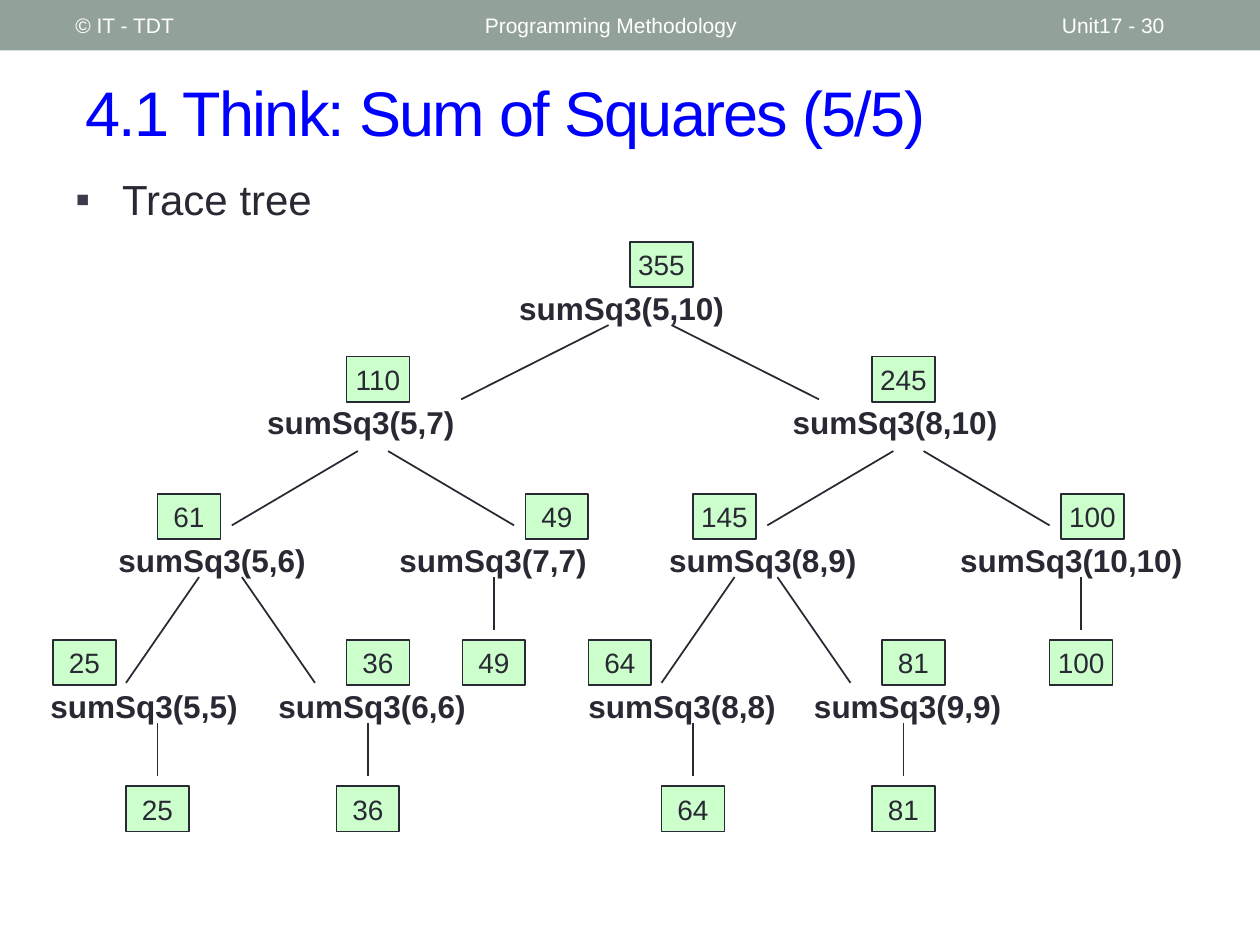
from lxml.etree import SubElement
from pptx import Presentation
from pptx.dml.color import RGBColor
from pptx.enum.shapes import MSO_CONNECTOR, MSO_SHAPE
from pptx.enum.text import MSO_ANCHOR, PP_ALIGN
from pptx.oxml.ns import qn
from pptx.util import Inches, Pt

COLORS = {
    "band": "93A299",
    "title": "0000FF",
    "white": "FFFFFF",
    "ink": "292934",
    "bullet": "3B3B4B",
    "result": "CCFFCC",
}

RESULT_WIDTH, RESULT_HEIGHT = 0.5, 0.36
CALL_HEIGHT = 0.38
CALL_DROP = 0.33
STEM_DROP = 0.33
STEM_LENGTH = 0.42
STEM_GAP = 0.08

# Each call: label, left, width, result, left of result, centre of its branches, is a base case
LEVELS = [
    {"top": 1.92, "branch": (2.58, 3.17, 0.25, 1.42), "calls": [
        ("sumSq3(5,10)", 4.08, 2.42, "355", 5, 5.08, False),
    ]},
    {"top": 2.83, "branch": (3.58, 4.17, 0.12, 1.12), "calls": [
        ("sumSq3(5,7)", 2.08, 2.25, "110", 2.75, 2.96, False),
        ("sumSq3(8,10)", 6.25, 2.25, "245", 6.92, 7.21, False),
    ]},
    {"top": 3.92, "branch": (4.58, 5.42, 0.17, 0.75), "calls": [
        ("sumSq3(5,6)", 0.9, 1.6, "61", 1.25, 1.75, False),
        ("sumSq3(7,7)", 3.13, 1.62, "49", 4.17, 3.92, True),
        ("sumSq3(8,9)", 5.27, 1.65, "145", 5.5, 6, False),
        ("sumSq3(10,10)", 7.58, 1.9, "100", 8.42, 8.58, True),
    ]},
    {"top": 5.08, "branch": None, "calls": [
        ("sumSq3(5,5)", 0.36, 1.64, "25", 0.42, 1.25, True),
        ("sumSq3(6,6)", 2.17, 1.66, "36", 2.75, 2.92, True),
        ("sumSq3(8,8)", 4.63, 1.62, "64", 4.67, 5.5, True),
        ("sumSq3(9,9)", 6.42, 1.65, "81", 7, 7.17, True),
    ]},
]


def color(name):
    return RGBColor.from_string(COLORS[name])


def write_text(frame, text, *, size, ink="ink", bold=False, align=PP_ALIGN.LEFT,
               anchor=MSO_ANCHOR.MIDDLE, inset=None, spacing=None):
    frame.word_wrap = True
    frame.vertical_anchor = anchor
    if inset is not None:
        frame.margin_left = frame.margin_right = Inches(inset)
        frame.margin_top = frame.margin_bottom = Inches(inset)
    paragraph = frame.paragraphs[0]
    paragraph.alignment = align
    run = paragraph.add_run()
    run.text = text
    run.font.name = "Arial"
    run.font.size = Pt(size)
    run.font.bold = bold
    run.font.color.rgb = color(ink)
    if spacing is not None:
        run._r.get_or_add_rPr().set("spc", str(spacing * 100))
    return paragraph


class TraceSlide:
    def __init__(self, deck):
        self.slide = deck.slides.add_slide(deck.slide_layouts[5])
        self.shapes = self.slide.shapes

    def title(self, text, left, top, width, height):
        heading = self.shapes.title
        heading.left, heading.top = Inches(left), Inches(top)
        heading.width, heading.height = Inches(width), Inches(height)
        write_text(heading.text_frame, text, size=36, ink="title", spacing=-1)

    def label(self, text, left, top, width, height, **style):
        box = self.shapes.add_textbox(Inches(left), Inches(top), Inches(width), Inches(height))
        return write_text(box.text_frame, text, **style)

    def bullet(self, text, left, top, width, height):
        item = self.label(text, left, top, width, height, size=24, anchor=MSO_ANCHOR.TOP)
        item.space_before = Pt(12)
        properties = item._p.get_or_add_pPr()
        properties.set("marL", str(Inches(0.37)))
        properties.set("indent", str(-Inches(0.37)))
        tint = SubElement(properties, qn("a:buClr"))
        SubElement(tint, qn("a:srgbClr"), val=COLORS["bullet"])
        SubElement(properties, qn("a:buFont"), typeface="Arial")
        SubElement(properties, qn("a:buChar"), char="▪")

    def box(self, left, top, width, height, fill, outline=None):
        rect = self.shapes.add_shape(MSO_SHAPE.RECTANGLE, Inches(left), Inches(top),
                                     Inches(width), Inches(height))
        rect.shadow.inherit = False
        rect.fill.solid()
        rect.fill.fore_color.rgb = color(fill)
        if outline:
            rect.line.color.rgb = color(outline)
            rect.line.width = Pt(1)
        else:
            rect.line.fill.background()
        return rect

    def result(self, value, left, top):
        rect = self.box(left, top, RESULT_WIDTH, RESULT_HEIGHT, "result", "ink")
        write_text(rect.text_frame, value, size=16, align=PP_ALIGN.CENTER, inset=0.04)

    def line(self, x1, y1, x2, y2):
        edge = self.shapes.add_connector(MSO_CONNECTOR.STRAIGHT, Inches(x1), Inches(y1),
                                         Inches(x2), Inches(y2))
        edge.line.color.rgb = color("ink")
        edge.line.width = Pt(1)
        SubElement(edge._element.spPr, qn("a:effectLst"))

    def branches(self, centre, start, end, near, far):
        for side in (-1, 1):
            self.line(centre + side * near, start, centre + side * far, end)

    def base_case(self, value, centre, call_top):
        start = call_top + STEM_DROP
        end = start + STEM_LENGTH
        self.line(centre, start, centre, end)
        self.result(value, centre - RESULT_WIDTH / 2, end + STEM_GAP)

    def level(self, top, branch, calls):
        call_top = top + CALL_DROP
        for call, left, width, value, value_left, centre, is_base in calls:
            self.label(call, left, call_top, width, CALL_HEIGHT, size=18, bold=True, inset=0.04)
            self.result(value, value_left, top)
            if is_base:
                self.base_case(value, centre, call_top)
            else:
                self.branches(centre, *branch)


def main():
    deck = Presentation()
    deck.slide_width, deck.slide_height = Inches(10), Inches(7.5)
    trace = TraceSlide(deck)
    trace.box(0, 0, 10, 0.4, "band")
    trace.title("4.1 Think: Sum of Squares (5/5)", 0.58, 0.42, 9.17, 0.92)
    for text, left, width in [("© IT - TDT", 0.5, 3.17),
                              ("Programming Methodology", 3.75, 4.5),
                              ("Unit17 - 30", 8.33, 1.17)]:
        trace.label(text, left, 0.02, width, 0.36, size=12, ink="white")
    trace.bullet("Trace tree", 0.5, 1.33, 2.75, 0.59)
    for level in LEVELS:
        trace.level(**level)
    deck.save("out.pptx")


if __name__ == "__main__":
    main()
